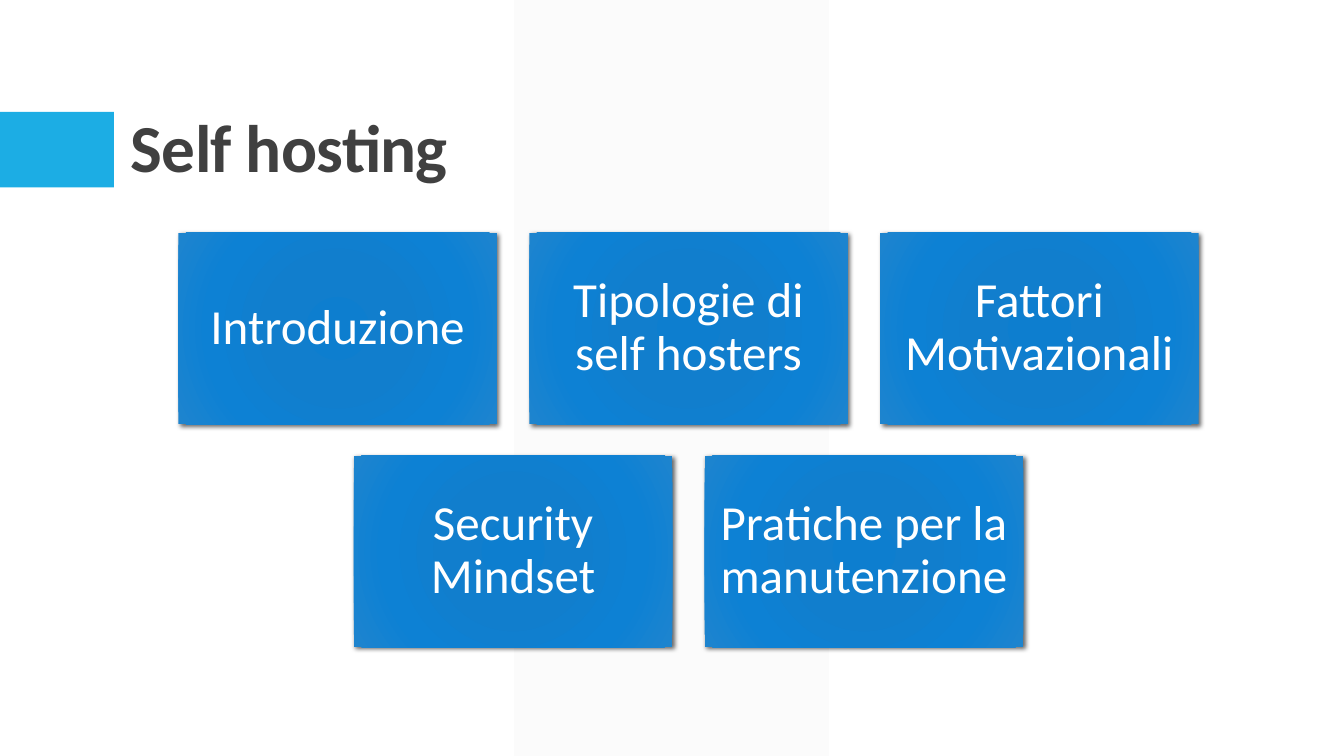
from dataclasses import dataclass

from pptx import Presentation
from pptx.dml.color import RGBColor
from pptx.enum.shapes import MSO_SHAPE
from pptx.enum.text import MSO_ANCHOR, PP_ALIGN
from pptx.oxml import parse_xml
from pptx.oxml.ns import nsdecls, qn
from pptx.util import Inches, Pt

RECTANGLE, PARALLELOGRAM = MSO_SHAPE.RECTANGLE, MSO_SHAPE.PARALLELOGRAM
LEFT, CENTER = PP_ALIGN.LEFT, PP_ALIGN.CENTER
MIDDLE, BOTTOM = MSO_ANCHOR.MIDDLE, MSO_ANCHOR.BOTTOM

TOPIC_ROWS = [
    ["Introduzione", "Tipologie di self hosters", "Fattori Motivazionali"],
    ["Security Mindset", "Pratiche per la manutenzione"],
]


@dataclass(frozen=True)
class Theme:
    font: str = "Calibri"
    title_size: int = 48
    card_size: int = 35
    title_color: str = "404040"
    card_text: str = "FFFFFF"
    accent: str = "1CADE4"
    band: str = "F2F2F2"
    band_opacity: int = 30
    card_stops: tuple = ((0, "0D7ECF"), (34, "117ECD"), (70, "0D81D4"), (100, "1E84CE"))
    shadow: str = "000000"


@dataclass(frozen=True)
class CardGrid:
    """Card sizes and spacing in inches; shorter rows are centred."""
    left: float = 1.77
    top: float = 2.31
    width: float = 3.16
    height: float = 1.9
    gap: float = 0.32
    columns: int = 3

    def box(self, row, column, row_length):
        indent = (self.columns - row_length) / 2
        x = self.left + (column + indent) * (self.width + self.gap)
        y = self.top + row * (self.height + self.gap - 0.01)
        return x, y, self.width, self.height


class SlideBuilder:
    def __init__(self, slide, theme):
        self.slide, self.theme = slide, theme

    def block(self, kind, box, color):
        shape = self.slide.shapes.add_shape(kind, *map(Inches, box))
        shape.shadow.inherit = False
        shape.line.fill.background()
        shape.fill.solid()
        shape.fill.fore_color.rgb = RGBColor.from_string(color)
        return shape

    def band(self, box):
        """Draw the translucent vertical band behind the content."""
        band = self.block(PARALLELOGRAM, box, self.theme.band)
        band.adjustments[0] = 0
        color = band._element.spPr.find(qn("a:solidFill"))[0]
        color.append(parse_xml(
            f'<a:alpha {nsdecls("a")} val="{self.theme.band_opacity * 1000}"/>'))

    def set_text(self, shape, text, frame_format, paragraph_format, font_format, color):
        frame = shape.text_frame
        paragraph = frame.paragraphs[0]
        run = paragraph.add_run()
        run.text = text
        run.font.color.rgb = RGBColor.from_string(color)
        for target, values in ((frame, frame_format), (paragraph, paragraph_format),
                               (run.font, font_format)):
            for attribute, value in values.items():
                setattr(target, attribute, value)
        return run

    def title(self, box, text):
        title = self.slide.shapes.add_textbox(*map(Inches, box))
        run = self.set_text(
            title, text,
            {"word_wrap": True, "vertical_anchor": BOTTOM},
            {"alignment": LEFT, "line_spacing": 0.9},
            {"name": self.theme.font, "size": Pt(self.theme.title_size), "bold": True},
            self.theme.title_color)
        run._r.get_or_add_rPr().set("spc", "-50")

    def card(self, box, text):
        card = self.block(RECTANGLE, box, self.theme.accent)
        self.add_gradient(card)
        self.add_shadow(card)
        sides = ("left", "top", "right", "bottom")
        margins = {f"margin_{side}": Inches(0.14) for side in sides}
        self.set_text(
            card, text,
            {"word_wrap": True, "vertical_anchor": MIDDLE, **margins},
            {"alignment": CENTER, "line_spacing": 0.9},
            {"name": self.theme.font, "size": Pt(self.theme.card_size)},
            self.theme.card_text)

    def add_gradient(self, card):
        stops = "".join(
            f'<a:gs pos="{position * 1000}"><a:srgbClr val="{color}"/></a:gs>'
            for position, color in self.theme.card_stops)
        properties = card._element.spPr
        properties.replace(properties.find(qn("a:solidFill")), parse_xml(
            f'<a:gradFill {nsdecls("a")} rotWithShape="1"><a:gsLst>{stops}</a:gsLst>'
            '<a:path path="circle"><a:fillToRect l="100000" t="100000" r="100000" '
            'b="100000"/></a:path></a:gradFill>'))

    def add_shadow(self, card):
        card._element.spPr.find(qn("a:effectLst")).append(parse_xml(
            f'<a:outerShdw {nsdecls("a")} blurRad="{Pt(3.5)}" dist="{Pt(2)}" '
            f'dir="2700000" algn="tl" rotWithShape="0"><a:srgbClr val="{self.theme.shadow}">'
            '<a:alpha val="60000"/></a:srgbClr></a:outerShdw>'))


def main():
    deck = Presentation()
    deck.slide_width, deck.slide_height = Inches(13.33), Inches(7.5)
    theme, grid = Theme(), CardGrid()
    builder = SlideBuilder(deck.slides.add_slide(deck.slide_layouts[6]), theme)

    builder.band((5.1, 0, 3.12, 7.5))
    builder.block(RECTANGLE, (0, 1.11, 1.13, 0.75), theme.accent)
    builder.title((1.2, 0.31, 11, 1.59), "Self hosting")
    for row, topics in enumerate(TOPIC_ROWS):
        for column, topic in enumerate(topics):
            builder.card(grid.box(row, column, len(topics)), topic)
    deck.save("out.pptx")


if __name__ == "__main__":
    main()
